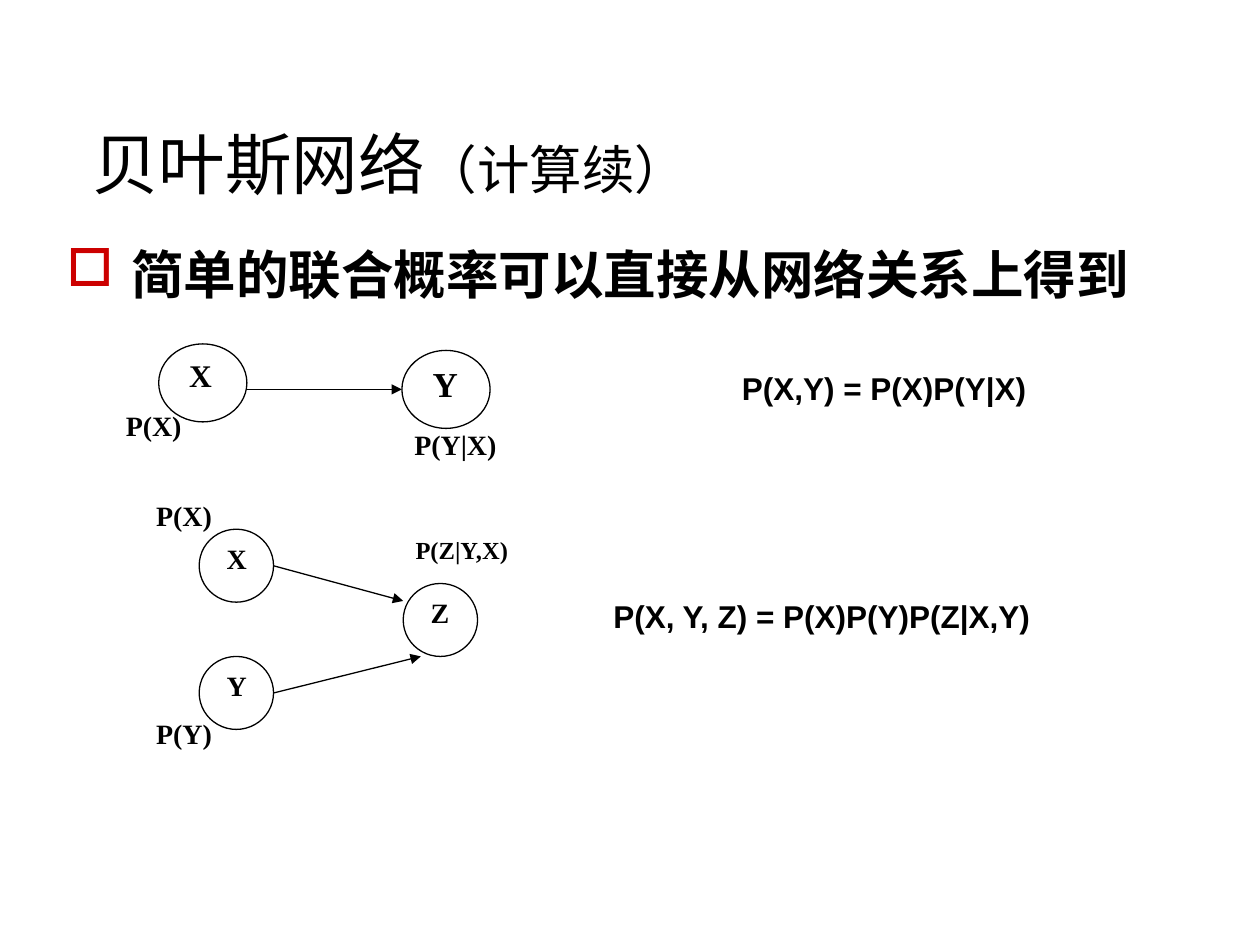
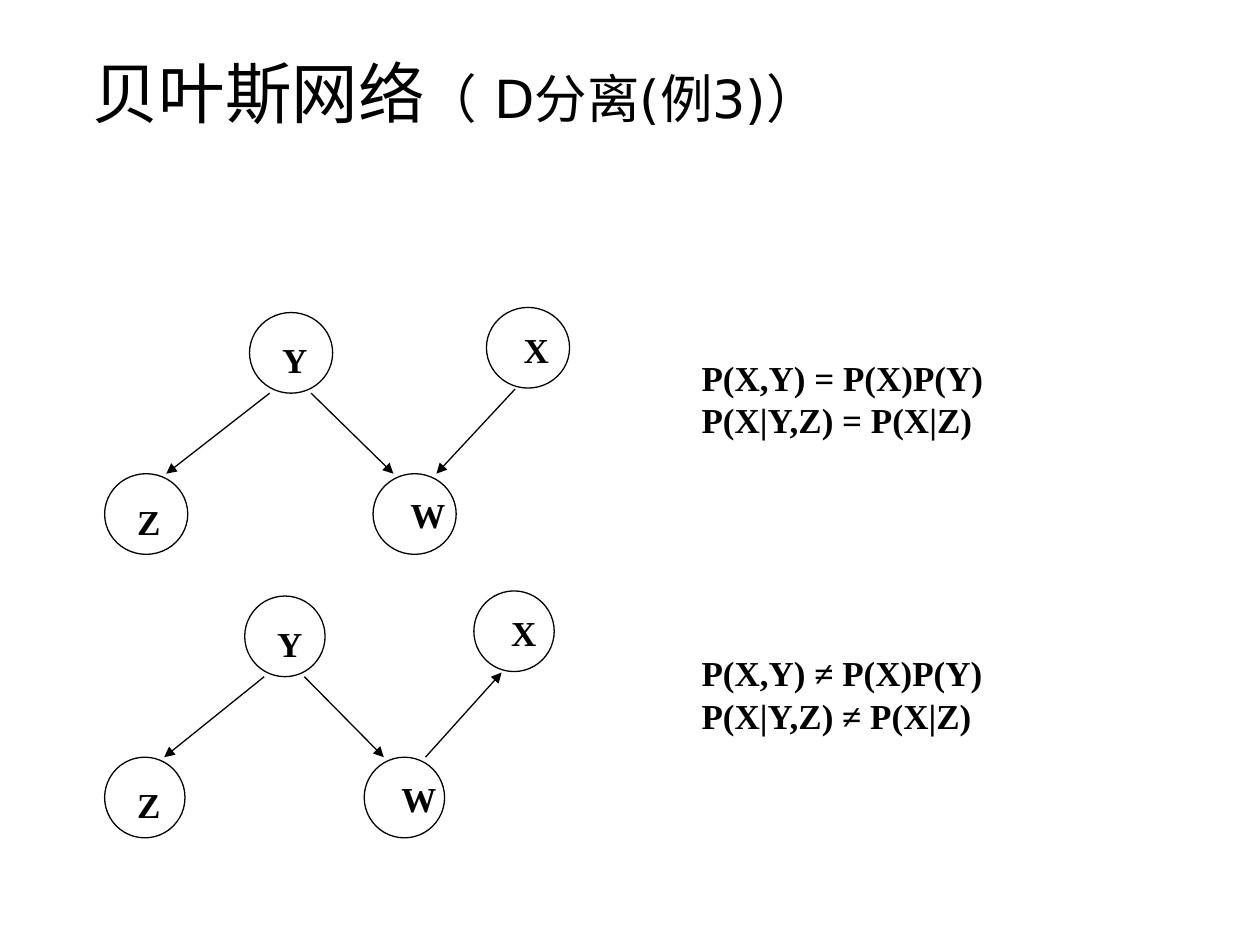
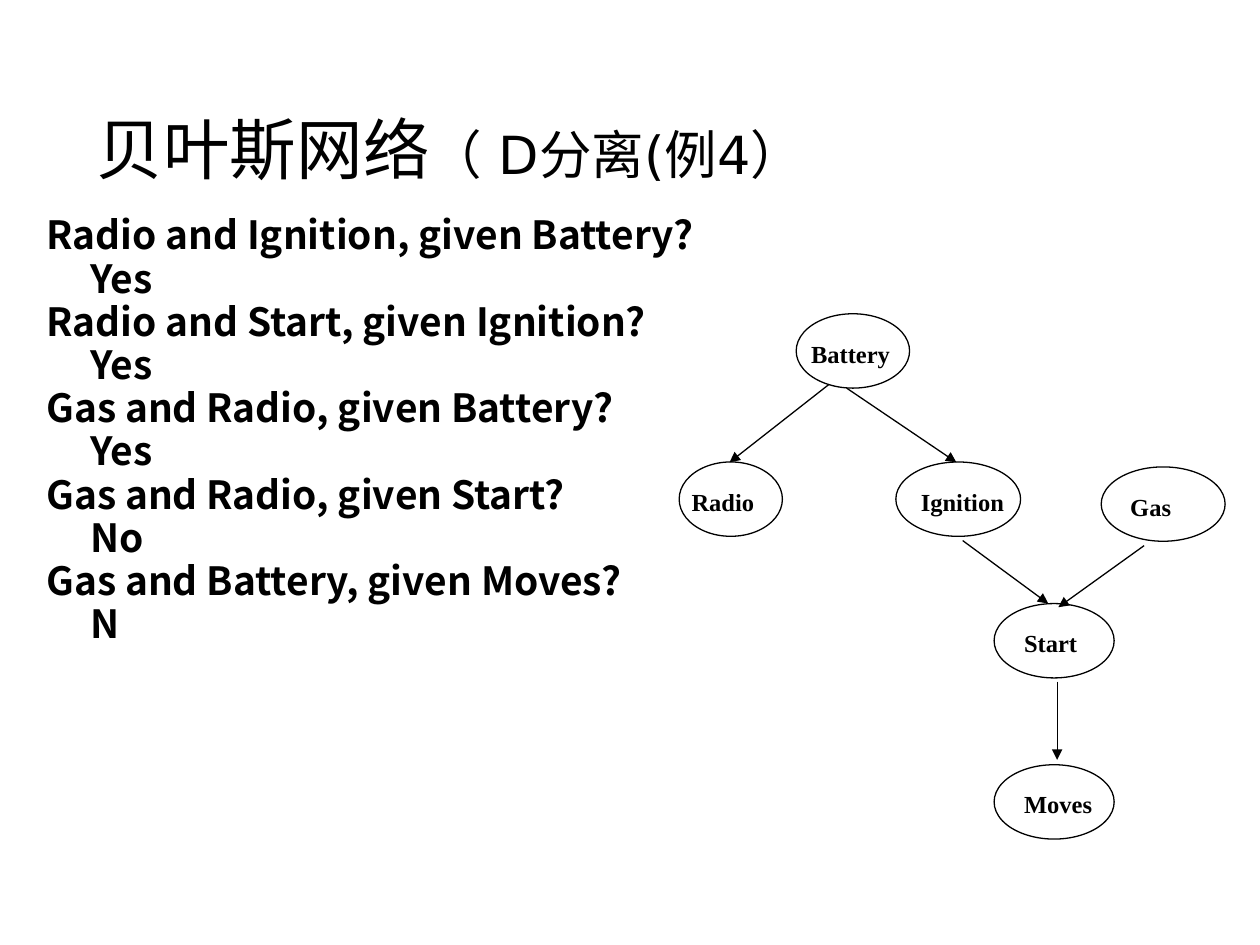
from dataclasses import dataclass

from lxml import etree
from pptx import Presentation
from pptx.dml.color import RGBColor
from pptx.enum import shapes, text
from pptx.oxml.ns import qn
from pptx.util import Pt


@dataclass(frozen=True)
class Theme:
    ink: RGBColor = RGBColor(0, 0, 0)
    paper: RGBColor = RGBColor(255, 255, 255)
    bullet: str = "CC0000"
    title_font: str = "DejaVu Sans"
    heading_font: str = "Noto Sans CJK JP"
    question_font: str = "Noto Sans CJK SC"
    label_font: str = "Times New Roman"
    formula_font: str = "Arial"
    title_size: float = 38
    large: float = 30
    question_size: float = 22.2
    network_size: float = 20
    formula_size: float = 18
    label_size: float = 16
    small: float = 14
    line_width: float = 0.75


THEME = Theme()


def style_font(font, name, size, bold=True):
    font.size = Pt(size)
    font.bold = bold
    font.color.rgb = THEME.ink
    font.name = name
    etree.SubElement(font._rPr, qn("a:ea")).set("typeface", name)


def add_title(slide, suffix, left, top, width, height):
    """Large topic name followed by a smaller suffix."""
    title = slide.shapes.title
    title.left, title.top = Pt(left), Pt(top)
    title.width, title.height = Pt(width), Pt(height)
    frame = title.text_frame
    frame.auto_size = text.MSO_AUTO_SIZE.NONE
    frame.vertical_anchor = text.MSO_ANCHOR.BOTTOM
    paragraph = frame.paragraphs[0]
    paragraph.alignment = text.PP_ALIGN.LEFT
    for words, size in (("贝叶斯网络", THEME.title_size), (suffix, THEME.large)):
        run = paragraph.add_run()
        run.text = words
        style_font(run.font, THEME.title_font, size, bold=False)


def add_text(slide, lines, left, top, width=80, height=32,
             font=THEME.label_font, size=THEME.label_size, pitch=None):
    """Text box with one paragraph per line; returns its paragraphs."""
    box = slide.shapes.add_textbox(Pt(left), Pt(top), Pt(width), Pt(height))
    frame = box.text_frame
    frame.word_wrap = True
    frame.text = "\n".join(lines)
    for paragraph in frame.paragraphs:
        if pitch:
            paragraph.line_spacing = Pt(pitch)
        style_font(paragraph.font, font, size)
    return frame.paragraphs


def add_bullet_heading(slide, words, left, top, width, height):
    paragraph = add_text(slide, [words], left, top, width, height,
                         THEME.heading_font, THEME.large)[0]
    properties = paragraph._p.get_or_add_pPr()
    properties.set("marL", str(Pt(37)))
    properties.set("indent", str(-Pt(37)))
    colour = etree.Element(qn("a:buClr"))
    etree.SubElement(colour, qn("a:srgbClr")).set("val", THEME.bullet)
    character = etree.Element(qn("a:buChar"))
    character.set("char", "□")
    defaults = properties.find(qn("a:defRPr"))
    defaults.addprevious(colour)
    defaults.addprevious(character)


def add_node(slide, name, left, top, width, height, offset, size):
    """Oval with its name set at an offset from the oval's corner."""
    oval = slide.shapes.add_shape(shapes.MSO_SHAPE.OVAL, Pt(left), Pt(top),
                                  Pt(width), Pt(height))
    oval.shadow.inherit = False
    oval.fill.solid()
    oval.fill.fore_color.rgb = THEME.paper
    oval.line.color.rgb = THEME.ink
    oval.line.width = Pt(THEME.line_width)
    add_text(slide, [name], left + offset[0], top + offset[1], size=size)


def add_arrow(slide, start_x, start_y, end_x, end_y):
    arrow = slide.shapes.add_connector(shapes.MSO_CONNECTOR.STRAIGHT, Pt(start_x),
                                       Pt(start_y), Pt(end_x), Pt(end_y))
    arrow.line.color.rgb = THEME.ink
    arrow.line.width = Pt(THEME.line_width)
    line = arrow.line._get_or_add_ln()
    etree.SubElement(line, qn("a:tailEnd")).set("type", "triangle")
    etree.SubElement(arrow._element.spPr, qn("a:effectLst"))


def add_four_node_network(slide, scale, drop, x_is_parent):
    """Y points to Z and W; X is either a parent or a child of W."""
    def across(distance):
        return 59.8 + distance * scale

    for name, distance, top, offset in (
            ("Y", 82.8, 178.6, (11.5, 11.5)), ("Z", 0, 270.7, (11.5, 11.5)),
            ("W", 153.4, 270.7, (14.2, 8)), ("X", 218.2, 175.7, (14.2, 8.4))):
        add_node(slide, name, across(distance), top + drop, 47.5 * scale, 46.1,
                 offset, THEME.network_size)
    for start, end in ((94.3, 35.2), (118, 165)):
        add_arrow(slide, across(start), 224.7 + drop, across(end), 270.7 + drop)
    ends = [(across(234.6), 222.3 + drop), (across(189.6), 270.7 + drop)]
    if not x_is_parent:
        ends.reverse()
    add_arrow(slide, *ends[0], *ends[1])


def build_joint_probability(slide):
    add_title(slide, "（计算续）", 45.4, 23.8, 630, 95.8)
    add_bullet_heading(slide, "简单的联合概率可以直接从网络关系上得到", 31, 135, 663, 57)

    # Two-node network
    add_node(slide, "X", 90.7, 196.5, 50.4, 44.6, (10.3, 3.6), 18)
    add_node(slide, "Y", 229.7, 200.2, 50.4, 44.6, (10.5, 3.6), THEME.network_size)
    add_arrow(slide, 141.1, 222.5, 229.7, 222.5)

    # Three-node network
    for name, left, top in (("X", 113.8, 302.4), ("Z", 230.4, 333.4),
                            ("Y", 113.8, 375.1)):
        add_node(slide, name, left, top, 42.5, 41.7, (8.6, 3.6), THEME.label_size)
    add_arrow(slide, 156.3, 323.3, 230.4, 343.4)
    add_arrow(slide, 156.3, 396, 240.5, 375.1)

    # Probabilities beside the nodes
    for words, left, top in (("P(X)", 64.8, 229.7), ("P(Y|X)", 229.7, 240.5),
                             ("P(X)", 82.1, 281.5), ("P(Y)", 82.1, 406.1)):
        add_text(slide, [words], left, top)
    add_text(slide, ["P(Z|Y,X)"], 230.4, 302.4, size=THEME.small)

    # Joint distributions
    for words, left, top in (("P(X,Y) = P(X)P(Y|X)", 416.9, 207.4),
                             ("P(X, Y, Z) = P(X)P(Y)P(Z|X,Y)", 343.4, 337.7)):
        add_text(slide, [words], left, top, 270, 29,
                 THEME.formula_font, THEME.formula_size)


def build_separation_example(slide):
    add_title(slide, "（ D分离(例3)）", 45.4, 23.8, 630, 55.4)
    for sign, scale, drop in (("=", 1, 0), ("≠", 0.967, 162)):
        add_four_node_network(slide, scale, drop, x_is_parent=sign == "=")
    for sign, top in (("=", 200), ("≠", 369)):
        add_text(slide, [f"P(X,Y) {sign} P(X)P(Y)", f"P(X|Y,Z) {sign} P(X|Z)"],
                 393.8, top, 226, 60, size=THEME.network_size, pitch=24)


def build_car_example(slide):
    add_title(slide, "（ D分离(例4）", 48.2, 43.2, 612, 67.7)

    # Questions with indented answers
    questions = (("Radio and Ignition, given Battery?", "Yes"),
                 ("Radio and Start, given Ignition?", "Yes"),
                 ("Gas and Radio, given Battery?", "Yes"),
                 ("Gas and Radio, given Start?", "No"),
                 ("Gas and Battery, given Moves?", "N"))
    lines = [line for pair in questions for line in pair]
    paragraphs = add_text(slide, lines, 19.4, 119, 630, 260, THEME.question_font,
                          THEME.question_size, pitch=24.7)
    for answer in paragraphs[1::2]:
        answer._p.get_or_add_pPr().set("marL", str(Pt(25.2)))

    # Car network
    for name, left, top, width, shift in (
            ("Battery", 455, 179.3, 64.8, 1.4), ("Radio", 388.1, 264, 59, 0),
            ("Ignition", 511.9, 264, 71.3, 7.2), ("Gas", 629.3, 266.8, 70.8, 9.5),
            ("Start", 568.1, 344.9, 68.6, 10), ("Moves", 568.1, 437, 68.6, 10)):
        add_node(slide, name, left, top, width, 42.5, (shift, 10.6), THEME.small)
    for ends in ((473.8, 219.6, 416.9, 264.2), (483.8, 221.8, 546.5, 264.2),
                 (550.1, 308.9, 599, 344.9), (653.8, 311.8, 604.8, 347),
                 (604.1, 389.5, 604.1, 434.2)):
        add_arrow(slide, *ends)


def main():
    presentation = Presentation()
    presentation.slide_width, presentation.slide_height = Pt(720), Pt(540)
    title_only = presentation.slide_layouts[5]
    for build in (build_joint_probability, build_separation_example,
                  build_car_example):
        build(presentation.slides.add_slide(title_only))
    presentation.save("out.pptx")


if __name__ == "__main__":
    main()
